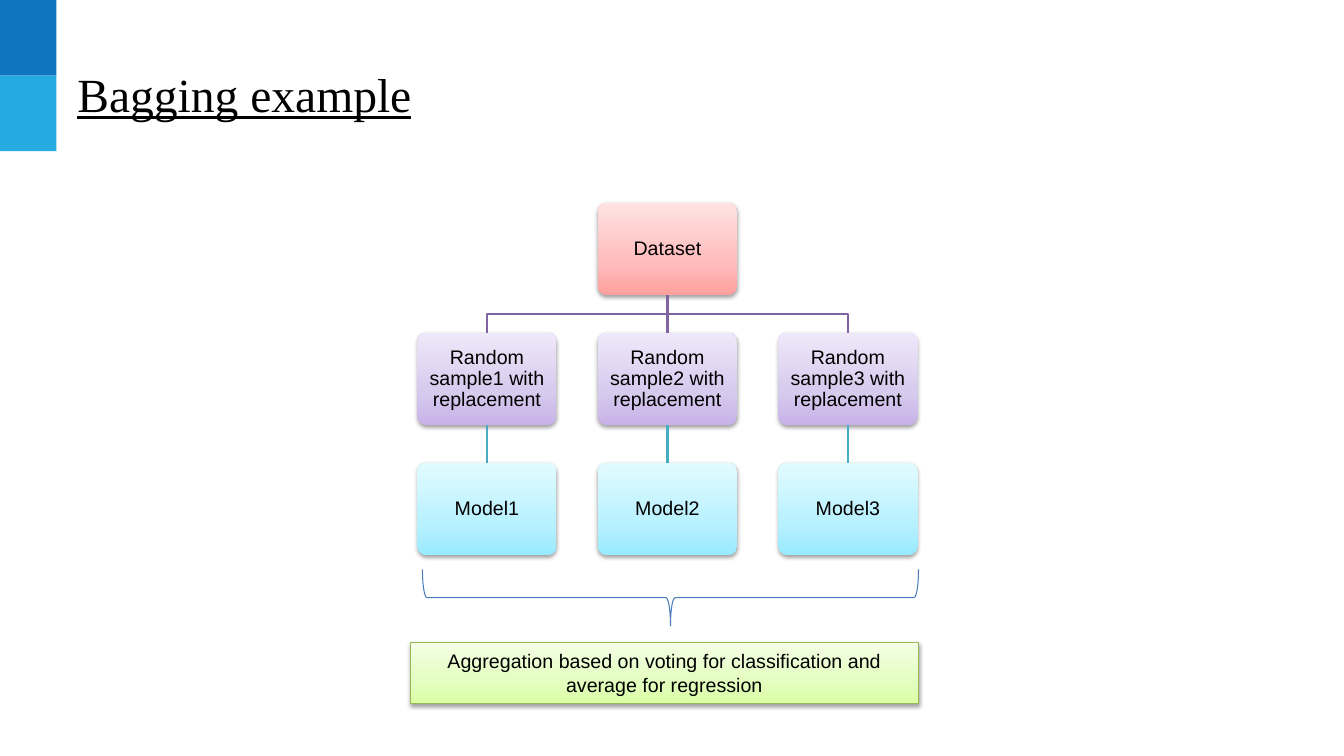
from pptx import Presentation
from pptx.dml.color import RGBColor
from pptx.enum.shapes import MSO_CONNECTOR as Link, MSO_SHAPE as Shape
from pptx.enum.text import MSO_ANCHOR as Anchor, PP_ALIGN as Align
from pptx.oxml import parse_xml
from pptx.oxml.ns import nsdecls
from pptx.util import Inches, Pt

THEME = {
    "title_font": "Times New Roman", "title_size": Pt(34),
    "body_font": "Arial", "body_size": Pt(14),
    "text": "000000", "bands": ("0F75BD", "25AAE2"),
    "red": ("FFA09D", "FFBCBC", "FFE2E2"),
    "purple": ("C8B2E9", "D6CAED", "EFE8FA"),
    "cyan": ("99EAFF", "B8F1FF", "E2FBFF"),
    "green": ("DAFEA4", "E3FEBF", "F4FEE6"),
    "split_line": "8064A2", "model_line": "49ACC5",
    "brace_line": "4A7DBA", "result_line": "97B853",
}


def style_line(line, color, width):
    line.color.rgb = RGBColor.from_string(THEME[color])
    line.width = Pt(width)


def add_box(kind, left, top, width, height, label, tint):
    """Add a labelled box with a vertical gradient and a soft shadow."""
    box = page.shapes.add_shape(kind, Inches(left), Inches(top), Inches(width), Inches(height))
    box.line.fill.background()
    stops = "".join(f'<a:gs pos="{share * 1000}"><a:srgbClr val="{color}"/></a:gs>'
                    for share, color in zip((0, 35, 100), THEME[tint]))
    box._element.spPr.insert(2, parse_xml(
        f'<a:gradFill {nsdecls("a")} rotWithShape="1"><a:gsLst>{stops}</a:gsLst>'
        '<a:lin ang="16200000" scaled="0"/></a:gradFill>'))
    box.shadow.inherit = False
    box._element.spPr.effectLst.append(parse_xml(
        f'<a:outerShdw {nsdecls("a")} blurRad="{Pt(3.1)}" dist="{Pt(1.6)}" dir="5400000" '
        'rotWithShape="0"><a:srgbClr val="000000"><a:alpha val="37000"/></a:srgbClr></a:outerShdw>'))
    frame = box.text_frame
    frame.word_wrap = True
    frame.vertical_anchor = Anchor.MIDDLE
    para = frame.paragraphs[0]
    para.text = label
    para.alignment = Align.CENTER
    para.font.name, para.font.size = THEME["body_font"], THEME["body_size"]
    para.font.color.rgb = RGBColor.from_string(THEME["text"])
    return box


deck = Presentation()
deck.slide_width, deck.slide_height = Inches(13.33), Inches(7.5)
page = deck.slides.add_slide(deck.slide_layouts[6])

# Corner bands
band_height = deck.slide_height // 10
for row, color in enumerate(THEME["bands"]):
    band = page.shapes.add_shape(Shape.RECTANGLE, 0, row * band_height, Inches(0.56), band_height)
    band.fill.solid()
    band.fill.fore_color.rgb = RGBColor.from_string(color)
    band.line.fill.background()
    band.shadow.inherit = False

# Title
title = page.shapes.add_textbox(Inches(0.67), Inches(0.3), Inches(12), Inches(1.25)).text_frame
title.word_wrap = True
title.vertical_anchor = Anchor.MIDDLE
para = title.paragraphs[0]
para.text = "Bagging example"
para.font.name, para.font.size = THEME["title_font"], THEME["title_size"]
para.font.underline = True
para.font.color.rgb = RGBColor.from_string(THEME["text"])

# Grid of the tree
BOX_W, BOX_H = 1.38, 0.92
COL_GAP, ROW_GAP = 0.41, 0.37
columns = [4.14 + number * (BOX_W + COL_GAP) for number in range(3)]
rows = [2.01 + number * (BOX_H + ROW_GAP) for number in range(3)]

# Tree boxes
nodes = {(0, 1): ("Dataset", "red")}
for column in range(3):
    nodes[1, column] = (f"Random sample{column + 1} with replacement", "purple")
    nodes[2, column] = (f"Model{column + 1}", "cyan")
boxes = {}
for (row, column), (label, tint) in nodes.items():
    box = add_box(Shape.ROUNDED_RECTANGLE, columns[column], rows[row], BOX_W, BOX_H, label, tint)
    box.adjustments[0] = 0.1
    frame = box.text_frame
    frame.margin_left = frame.margin_right = frame.margin_top = frame.margin_bottom = Inches(0.06)
    frame.paragraphs[0].line_spacing = 0.9
    boxes[row, column] = box

# Branch to the outer samples
first_x, last_x = (columns[side] + BOX_W / 2 for side in (0, 2))
branch_y = rows[1] - ROW_GAP / 2
outline = page.shapes.build_freeform(Inches(first_x), Inches(rows[1]))
outline.add_line_segments([(Inches(x), Inches(y)) for x, y in
                           ((first_x, branch_y), (last_x, branch_y), (last_x, rows[1]))], close=False)
branch = outline.convert_to_shape()
branch.fill.background()
branch.shadow.inherit = False
style_line(branch.line, "split_line", 2)

# Straight links
links = [((0, 1), (1, 1), "split_line")]
links += [((1, column), (2, column), "model_line") for column in range(3)]
for upper, lower, color in links:
    link = page.shapes.add_connector(Link.STRAIGHT, 0, 0, 0, 0)
    link.begin_connect(boxes[upper], 2)
    link.end_connect(boxes[lower], 0)
    style_line(link.line, color, 2)
    link._element.spPr.append(parse_xml(f'<a:effectLst {nsdecls("a")}/>'))

# Brace under the models
brace = page.shapes.add_shape(Shape.RIGHT_BRACE, Inches(6.37), Inches(3.47), Inches(0.56), Inches(4.92))
brace.rotation = 90
brace.adjustments[0] = 0.08
brace.fill.background()
brace.shadow.inherit = False
style_line(brace.line, "brace_line", 0.75)

# Aggregated result
result = add_box(Shape.RECTANGLE, 4.07, 6.37, 5.04, 0.61,
                 "Aggregation based on voting for classification and average for regression", "green")
style_line(result.line, "result_line", 0.75)

deck.save("out.pptx")
